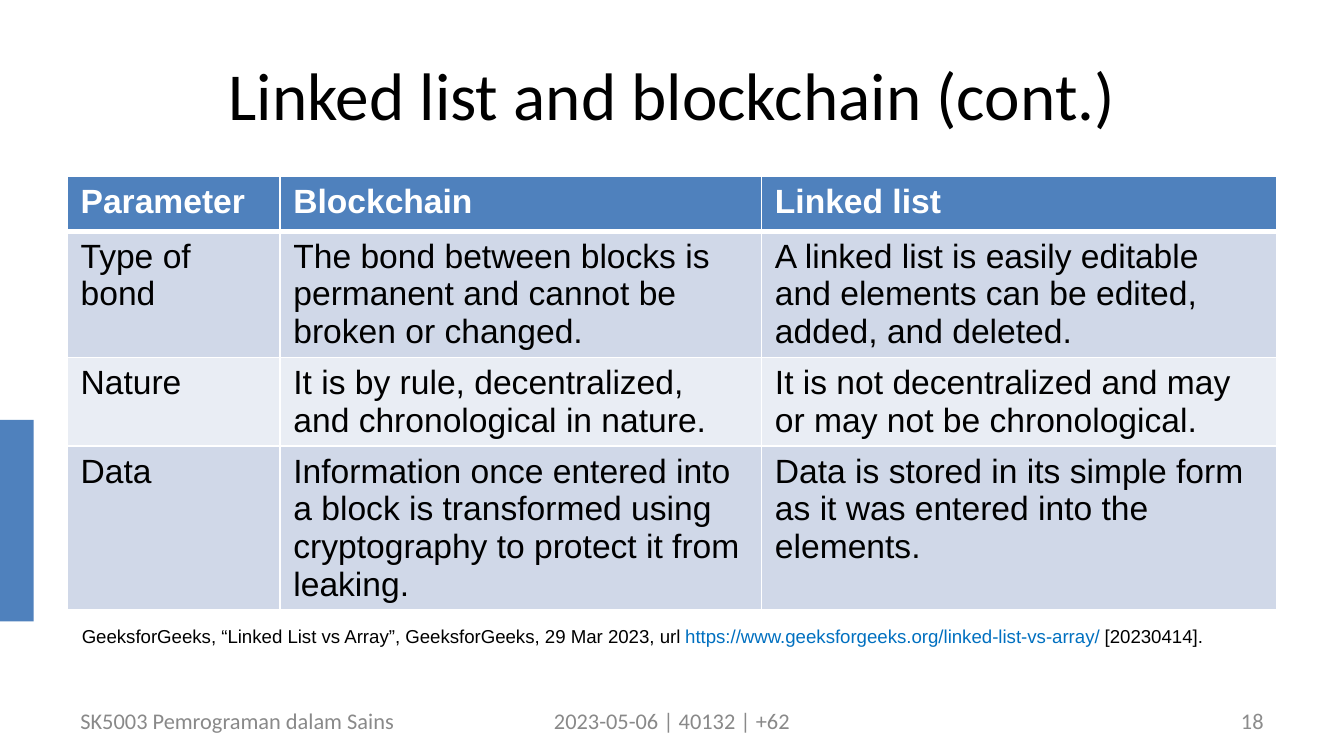
from lxml.etree import SubElement
from pptx import Presentation
from pptx.dml.color import RGBColor
from pptx.enum.shapes import MSO_SHAPE
from pptx.enum.text import MSO_ANCHOR, PP_ALIGN
from pptx.oxml.ns import qn
from pptx.util import Pt

theme = {
    "blue": "4F81BD", "white": "FFFFFF", "bands": ["D0D8E8", "E9EDF4"],
    "title": {"name": "Calibri", "size": Pt(36), "rgb": "000000"},
    "foot": {"name": "Calibri", "size": Pt(12), "rgb": "898989"},
    "page": {"name": "Calibri", "size": Pt(12), "rgb": "8C8C8C"},
    "head": {"name": "Arial", "size": Pt(18), "bold": True, "rgb": "FFFFFF"},
    "body": {"name": "Arial", "size": Pt(18), "bold": False, "rgb": "000000"},
    "cite": {"name": "Arial", "size": Pt(10), "rgb": "000000"},
    "link": {"name": "Arial", "size": Pt(10), "rgb": "0070C0"},
}


def write(para, text, style):
    run = para.add_run()
    run.text = text
    for key, value in theme[style].items():
        if key == "rgb":
            run.font.color.rgb = RGBColor.from_string(value)
        else:
            setattr(run.font, key, value)


def edge(cell, side, width):
    line = SubElement(cell._tc.get_or_add_tcPr(), qn(f"a:ln{side}"), w=str(Pt(width)))
    fill = SubElement(line, qn("a:solidFill"))
    SubElement(fill, qn("a:srgbClr"), val=theme["white"])


deck = Presentation()
deck.slide_width, deck.slide_height = Pt(720), Pt(405)
slide = deck.slides.add_slide(deck.slide_layouts[6])
shapes = slide.shapes

bar = shapes.add_shape(MSO_SHAPE.RECTANGLE, Pt(0), Pt(225), Pt(18), Pt(108))
bar.shadow.inherit = False
bar.fill.solid()
bar.fill.fore_color.rgb = RGBColor.from_string(theme["blue"])
bar.line.fill.background()

rows = [
    ["Parameter", "Blockchain", "Linked list"],
    ["Type of bond",
     "The bond between blocks is permanent and cannot be broken or changed.",
     "A linked list is easily editable and elements can be edited, added, and deleted."],
    ["Nature",
     "It is by rule, decentralized, and chronological in nature.",
     "It is not decentralized and may or may not be chronological."],
    ["Data",
     "Information once entered into a block is transformed using cryptography "
     "to protect it from leaking.",
     "Data is stored in its simple form as it was entered into the elements."],
]
widths = [114, 258, 276]
grid = shapes.add_table(len(rows), len(widths), Pt(36), Pt(94.6), Pt(sum(widths)), Pt(245.5))
table = grid.table
for col, width in zip(table.columns, widths):
    col.width = Pt(width)
for r, words in enumerate(rows):
    table.rows[r].height = Pt(29.2)
    color = theme["bands"][(r - 1) % 2] if r else theme["blue"]
    for c, text in enumerate(words):
        cell = table.cell(r, c)
        for side in "LRTB":
            edge(cell, side, 3 if (r, side) in [(0, "B"), (1, "T")] else 1)
        cell.fill.solid()
        cell.fill.fore_color.rgb = RGBColor.from_string(color)
        write(cell.text_frame.paragraphs[0], text, "body" if r else "head")
grid.height = Pt(245.5)

mid, top = MSO_ANCHOR.MIDDLE, MSO_ANCHOR.TOP
left, center, right = PP_ALIGN.LEFT, PP_ALIGN.CENTER, PP_ALIGN.RIGHT
texts = [
    ((36, 16.5, 648, 67.5), mid, center, [("Linked list and blockchain (cont.)", "title")]),
    ((36, 375.4, 186, 21.6), mid, left, [("SK5003 Pemrograman dalam Sains", "foot")]),
    ((246, 375.4, 228, 21.6), mid, center, [("2023-05-06 | 40132 | +62", "foot")]),
    ((516, 375.4, 168, 21.6), mid, right, [("18", "page")]),
    ((36.7, 331, 647.3, 19.4), top, left, [
        ("GeeksforGeeks, “Linked List vs Array”, GeeksforGeeks, 29 Mar 2023, url ", "cite"),
        ("https://www.geeksforgeeks.org/linked-list-vs-array/", "link"),
        (" [20230414].", "cite"),
    ]),
]
for place, anchor, align, runs in texts:
    frame = shapes.add_textbox(*map(Pt, place)).text_frame
    for key, value in {"word_wrap": True, "vertical_anchor": anchor}.items():
        setattr(frame, key, value)
    para = frame.paragraphs[0]
    para.alignment = align
    for text, style in runs:
        write(para, text, style)

deck.save("out.pptx")
